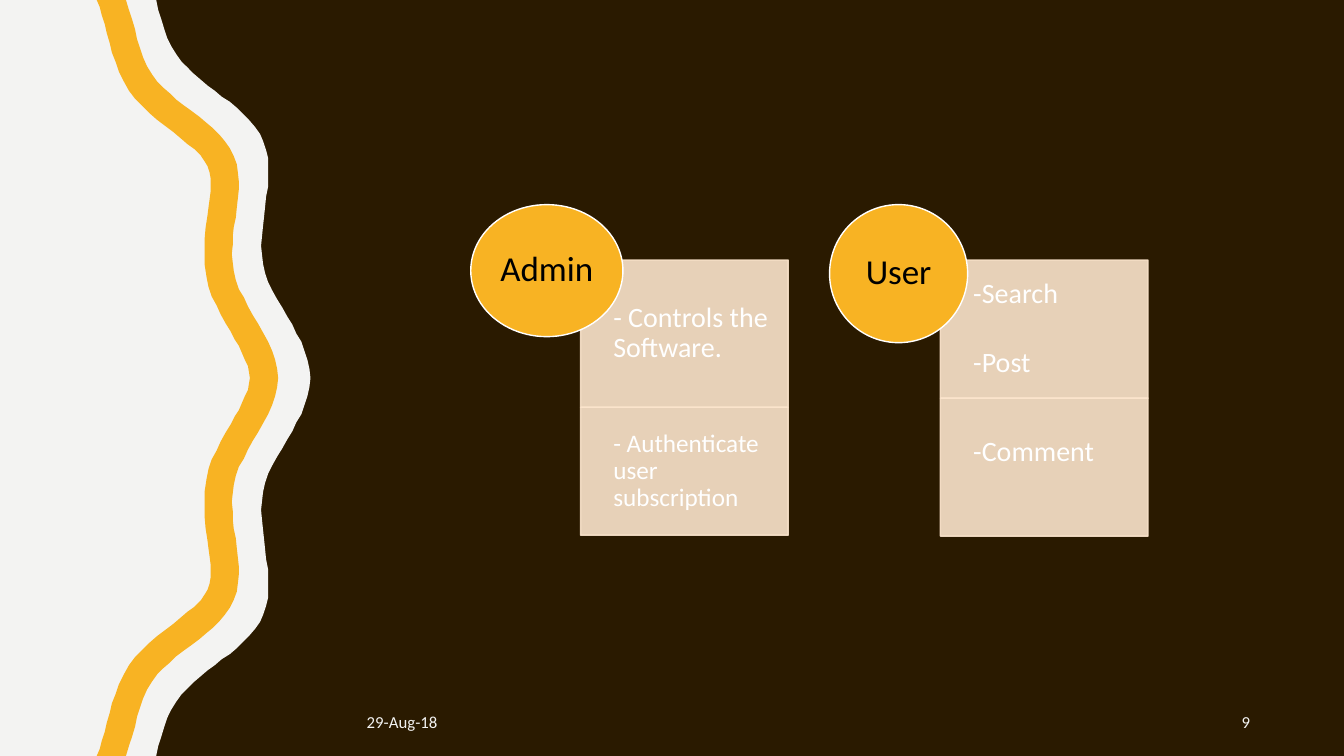
from dataclasses import dataclass

from lxml.etree import SubElement
from pptx import Presentation
from pptx.dml.color import RGBColor
from pptx.enum.shapes import MSO_SHAPE as Shape
from pptx.enum.text import MSO_ANCHOR as Anchor, PP_ALIGN as Align
from pptx.oxml.ns import qn
from pptx.util import Inches, Length, Pt

CELL = 0.1  # the slide is a grid of square cells, 75 rows high
COLS, ROWS = 133.33, 75
DARK, PALE, AMBER, CREAM = "2A1A00", "F3F3F2", "F8B323", "FCE5CD"
WHITE, BLACK = "FFFFFF", "000000"
FONT = "Calibri"
PANEL_TOP, PANEL_WIDTH, PANEL_INDENT = 25.8, 20.6, 3.25
CIRCLE_TOP = 20.3
FOOTER_TOP, FOOTER_WIDTH, FOOTER_HEIGHT = 69.7, 16.3, 3.8

Point = tuple[float, float]

# Upper halves of the wave edges, as (column, row); the lower halves mirror them
PALE_EDGE: list[Point] = [
    (15.5, 0), (15.7, 1), (16, 1.9), (16.3, 2.9), (16.6, 3.8), (17, 4.6),
    (17.5, 5.4), (18, 6.1), (18.6, 6.7), (19.2, 7.3), (19.9, 7.9), (20.6, 8.5),
    (21.3, 9), (22, 9.6), (22.8, 10.1), (23.5, 10.7), (24.1, 11.3), (24.7, 11.9),
    (25.3, 12.6), (25.8, 13.3), (26.1, 14), (26.4, 14.9), (26.6, 15.7),
    (26.6, 17.6), (26.6, 18.5), (26.4, 19.5), (26.3, 20.5), (26.2, 21.5),
    (26.1, 22.4), (26, 23.4), (25.9, 24.4), (26, 25.3), (26.1, 26.2),
    (26.3, 27.1), (26.6, 28), (27, 28.8), (27.5, 29.7), (28, 30.5), (28.5, 31.4),
    (29, 32.2), (29.4, 33.1), (29.9, 33.9), (30.2, 34.8), (30.5, 35.7),
    (30.7, 36.6), (30.8, 37.5)]
AMBER_RIGHT: list[Point] = [
    (12.5, 0), (12.8, 1), (13.1, 1.9), (13.4, 2.9), (13.6, 3.9), (13.9, 4.8),
    (14.2, 5.7), (14.6, 6.6), (15.1, 7.4), (15.6, 8.1), (16.2, 8.7), (16.9, 9.3),
    (17.5, 9.9), (18.3, 10.5), (19, 11), (19.8, 11.6), (20.5, 12.2), (21.1, 12.7),
    (21.8, 13.4), (22.3, 14), (22.8, 14.7), (23.2, 15.5), (23.5, 16.3),
    (23.6, 17.1), (23.7, 18), (23.7, 18.8), (23.6, 19.7), (23.5, 20.6),
    (23.4, 21.6), (23.2, 22.5), (23.1, 23.4), (23.1, 24.3), (23, 25.2),
    (23.1, 26.1), (23.2, 26.9), (23.4, 27.8), (23.7, 28.7), (24.2, 29.5),
    (24.6, 30.4), (25.1, 31.3), (25.6, 32.1), (26.1, 33), (26.6, 33.9),
    (27, 34.8), (27.3, 35.7), (27.5, 36.6), (27.6, 37.5)]
AMBER_LEFT: list[Point] = [
    (9.6, 0), (9.9, 0.7), (10.1, 1.5), (10.4, 2.4), (10.6, 3.3), (10.9, 4.3),
    (11.1, 5.2), (11.5, 6.2), (11.8, 7.1), (12.3, 8.1), (12.8, 9), (13.4, 9.8),
    (14.1, 10.5), (14.8, 11.2), (15.6, 11.9), (16.4, 12.5), (17.2, 13.1),
    (17.9, 13.7), (18.6, 14.3), (19.3, 14.8), (19.9, 15.4), (20.3, 16),
    (20.6, 16.5), (20.8, 17.1), (20.9, 17.7), (20.9, 19), (20.8, 19.8),
    (20.7, 20.5), (20.6, 21.3), (20.4, 22.6), (20.3, 23.8), (20.3, 26.2),
    (20.5, 27.5), (20.7, 28.5), (21, 29.4), (21.5, 30.3), (21.9, 31.2),
    (22.4, 32.1), (22.9, 32.9), (23.3, 33.7), (23.7, 34.3), (24, 35),
    (24.3, 35.7), (24.6, 36.3), (24.7, 36.9), (24.8, 37.5)]


@dataclass(frozen=True)
class Panel:
    lines: tuple[str, ...]
    height: float
    size: float
    inset: float
    lift: float = 0  # rows added to the bottom inset


@dataclass(frozen=True)
class Role:
    name: str
    circle_left: float
    circle_width: float
    circle_height: float
    panel_left: float
    panels: tuple[Panel, ...]


@dataclass(frozen=True)
class Footer:
    text: str
    left: float
    align: Align


ROLES = (
    Role("Admin", 46.7, 15.1, 13.1, 57.6, (
        Panel(("- Controls the Software.",), 14.6, 20, 1.6),
        Panel(("- Authenticate user subscription",), 12.7, 18, 1.4))),
    Role("User", 82.3, 13.7, 13.7, 93.3, (
        Panel(("-Search", "-Post"), 13.7, 20, 1.6),
        Panel(("-Comment",), 13.7, 20, 1.2, lift=3))),
)
FOOTERS = (Footer("29-Aug-18", 35.4, Align.LEFT), Footer("9", 108.7, Align.RIGHT))


def cells(count: float) -> Length:
    return Inches(count * CELL)


def color(value: str) -> RGBColor:
    return RGBColor.from_string(value)


def mirrored(edge: list[Point]) -> list[Point]:
    """Extend an upper half edge down to the foot of the slide."""
    return edge + [(x, ROWS - y) for x, y in reversed(edge[:-1])]


def paint(s, fill: str, line: str | None = None, alpha: int = 100) -> None:
    s.shadow.inherit = False
    s.fill.solid()
    s.fill.fore_color.rgb = color(fill)
    if line is None:
        s.line.fill.background()
    else:
        s.line.color.rgb = color(line)
        s.line.width = Pt(1)
    if alpha < 100:
        for clr in s._element.spPr.iter(qn("a:srgbClr")):
            SubElement(clr, qn("a:alpha")).set("val", str(alpha * 1000))


def add_wave(slide, points: list[Point], fill: str) -> None:
    corners = [(cells(x), cells(y)) for x, y in points]
    builder = slide.shapes.build_freeform(*corners[0])
    builder.add_line_segments(corners[1:], close=True)
    paint(builder.convert_to_shape(), fill)


def write(s, lines: tuple[str, ...], size: float, ink: str, align: Align,
          gap: float = 0, spacing: float = 1) -> None:
    tf = s.text_frame
    tf.word_wrap = True
    tf.vertical_anchor = Anchor.MIDDLE
    tf.text = "\n".join(lines)
    for i, p in enumerate(tf.paragraphs):
        p.alignment = align
        p.line_spacing = spacing
        p.space_before = Pt(gap if i else 0)
        for r in p.runs:
            r.font.name, r.font.size = FONT, Pt(size)
            r.font.color.rgb = color(ink)


def set_insets(s, left: float, top: float, right: float, bottom: float) -> None:
    tf = s.text_frame
    tf.margin_left, tf.margin_top = cells(left), cells(top)
    tf.margin_right, tf.margin_bottom = cells(right), cells(bottom)


def add_role(slide, role: Role) -> None:
    top = PANEL_TOP
    for panel in role.panels:
        s = slide.shapes.add_shape(Shape.RECTANGLE, cells(role.panel_left), cells(top),
                                   cells(PANEL_WIDTH), cells(panel.height))
        paint(s, CREAM, CREAM, alpha=90)
        set_insets(s, PANEL_INDENT, panel.inset, panel.inset, panel.inset + panel.lift)
        write(s, panel.lines, panel.size, WHITE, Align.LEFT, gap=28, spacing=0.9)
        top += panel.height
    s = slide.shapes.add_shape(Shape.OVAL, cells(role.circle_left), cells(CIRCLE_TOP),
                               cells(role.circle_width), cells(role.circle_height))
    paint(s, AMBER, WHITE)
    set_insets(s, 0, 0, 0, 0)
    write(s, (role.name,), 25, BLACK, Align.CENTER, spacing=0.9)


def add_footer(slide, footer: Footer) -> None:
    s = slide.shapes.add_textbox(cells(footer.left), cells(FOOTER_TOP),
                                 cells(FOOTER_WIDTH), cells(FOOTER_HEIGHT))
    write(s, (footer.text,), 12, PALE, footer.align)


def main() -> None:
    prs = Presentation()
    prs.slide_width, prs.slide_height = cells(COLS), cells(ROWS)
    slide = prs.slides.add_slide(prs.slide_layouts[6])
    slide.background.fill.solid()
    slide.background.fill.fore_color.rgb = color(DARK)
    add_wave(slide, [(0, 0), *mirrored(PALE_EDGE), (0, ROWS)], PALE)
    add_wave(slide, mirrored(AMBER_RIGHT) + mirrored(AMBER_LEFT)[::-1], AMBER)
    for role in ROLES:
        add_role(slide, role)
    for footer in FOOTERS:
        add_footer(slide, footer)
    prs.save("out.pptx")


if __name__ == "__main__":
    main()
